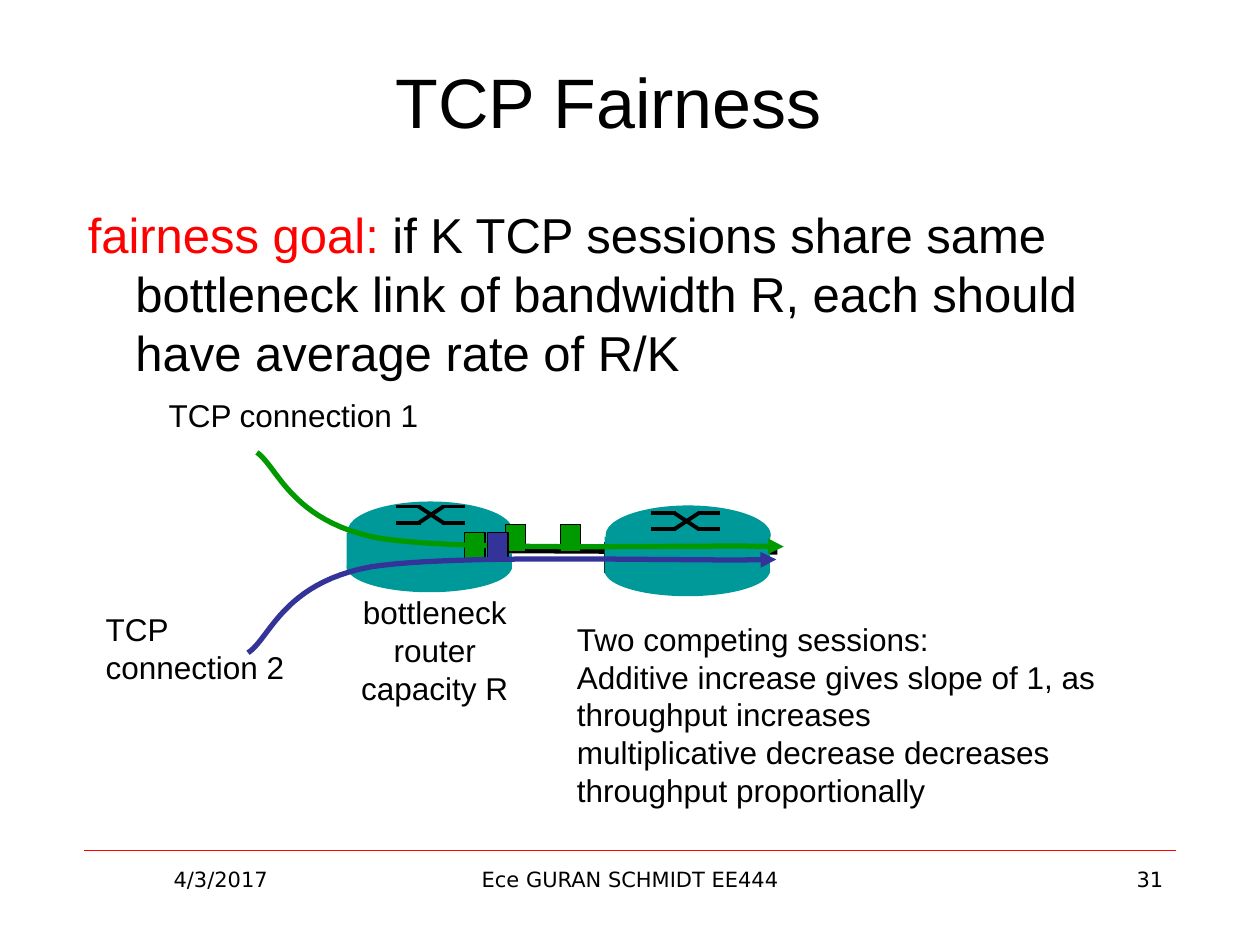
from lxml import etree
from pptx import Presentation
from pptx import util as u
from pptx.dml.color import RGBColor
from pptx.enum import shapes, text
from pptx.oxml import ns

BLACK = RGBColor(0x00, 0x00, 0x00)
RED = RGBColor(0xFF, 0x00, 0x00)
TEAL = RGBColor(0x00, 0x99, 0x99)
GREEN = RGBColor(0x00, 0x99, 0x00)
INDIGO = RGBColor(0x33, 0x33, 0x99)

TITLE = {"name": "Arial", "size": u.Pt(40)}
BODY = {"name": "Arial", "size": u.Pt(28)}
LABEL = {"name": "Arial", "size": u.Pt(18)}
FOOTER = {"name": "DejaVu Sans", "size": u.Pt(12)}

LEFT, CENTER, RIGHT = text.PP_ALIGN.LEFT, text.PP_ALIGN.CENTER, text.PP_ALIGN.RIGHT
RECT, OVAL = shapes.MSO_SHAPE.RECTANGLE, shapes.MSO_SHAPE.OVAL


def bezier(points, steps=24):
    """Points along joined cubic curves; each curve starts where the last ended."""
    path = [points[0]]
    for i in range(0, len(points) - 1, 3):
        for n in range(1, steps + 1):
            t = n / steps
            weights = ((1 - t) ** 3, 3 * t * (1 - t) ** 2, 3 * t * t * (1 - t), t ** 3)
            path.append(tuple(sum(w * p[axis] for w, p in zip(weights, points[i:i + 4]))
                              for axis in (0, 1)))
    return path


class FairnessSlide:
    def __init__(self, slide):
        self.items = slide.shapes

    def words(self, box, paragraphs, style, align=LEFT, wrap=True,
              anchor=text.MSO_ANCHOR.TOP, hanging=None):
        """Each paragraph is a list of (words, colour) runs."""
        frame = self.items.add_textbox(*map(u.Cm, box)).text_frame
        frame.word_wrap = wrap
        frame.vertical_anchor = anchor
        for i, runs in enumerate(paragraphs):
            paragraph = frame.add_paragraph() if i else frame.paragraphs[0]
            paragraph.alignment = align
            if hanging:
                props = paragraph._p.get_or_add_pPr()
                props.set("marL", str(u.Cm(hanging)))
                props.set("indent", str(-u.Cm(hanging)))
            for content, colour in runs:
                run = paragraph.add_run()
                run.text = content
                for key, value in style.items():
                    setattr(run.font, key, value)
                run.font.color.rgb = colour

    def lines(self, box, rows, style, **options):
        self.words(box, [[(row, BLACK)] for row in rows], style, **options)

    def line(self, x1, y1, x2, y2, colour=BLACK, width=2.25):
        link = self.items.add_connector(shapes.MSO_CONNECTOR.STRAIGHT,
                                        *map(u.Cm, (x1, y1, x2, y2)))
        link.line.color.rgb = colour
        link.line.width = u.Pt(width)
        etree.SubElement(link._element.spPr, ns.qn("a:effectLst"))

    def block(self, kind, x, y, w, h, fill, outlined=False):
        block = self.items.add_shape(kind, *map(u.Cm, (x, y, w, h)))
        block.shadow.inherit = False
        block.fill.solid()
        block.fill.fore_color.rgb = fill
        if outlined:
            block.line.color.rgb = BLACK
            block.line.width = u.Pt(0.75)
        else:
            block.line.fill.background()

    def packet(self, x, y, fill):
        self.block(RECT, x, y, 0.41, 0.56, fill, outlined=True)

    def router(self, x, y):
        self.block(OVAL, x, y + 0.81, 3.33, 1.02, TEAL)
        self.block(RECT, x, y + 0.63, 3.33, 0.74, TEAL)
        self.block(OVAL, x + 0.02, y, 3.33, 1.19, TEAL)

    def switch_mark(self, x, y):
        top, bottom = y, y + 0.33
        for start, end in ((top, bottom), (bottom, top)):
            self.line(x, start, x + 0.5, start)
            self.line(x + 0.46, start, x + 0.96, end)
            self.line(x + 0.94, end, x + 1.39, end)

    def flow(self, points, colour):
        path = [(u.Cm(x), u.Cm(y)) for x, y in bezier(points)]
        builder = self.items.build_freeform(*path[0])
        builder.add_line_segments(path[1:], close=False)
        curve = builder.convert_to_shape()
        curve.shadow.inherit = False
        curve.fill.background()
        curve.line.color.rgb = colour
        curve.line.width = u.Pt(3)
        etree.SubElement(curve.line._get_or_add_ln(), ns.qn("a:tailEnd"), type="triangle")


def main():
    deck = Presentation()
    deck.slide_width, deck.slide_height = u.Cm(25.4), u.Cm(19.05)
    page = FairnessSlide(deck.slides.add_slide(deck.slide_layouts[6]))

    # Footer
    page.line(1.7, 17.14, 23.7, 17.14, RED, 0.25)
    for x, width, note, align in ((1.7, 5.5, "4/3/2017", CENTER),
                                  (8.68, 8.05, "Ece GURAN SCHMIDT EE444", CENTER),
                                  (18.2, 5.5, "31", RIGHT)):
        page.lines((x, 17.35, width, 1.32), [note], FOOTER, align=align)

    # Title and goal
    page.lines((1.47, 0.43, 21.6, 3.18), ["TCP Fairness"], TITLE, align=CENTER,
               anchor=text.MSO_ANCHOR.MIDDLE)
    goal = [("fairness goal:", RED),
            (" if K TCP sessions share same bottleneck link of bandwidth R, "
             "each should have average rate of R/K", BLACK)]
    page.words((1.52, 4, 21.16, 6.1), [goal], BODY, hanging=0.96)

    # Bottleneck link and its two routers
    page.line(10.31, 11.1, 15.67, 11.13, width=3)
    page.router(6.99, 10.11)
    page.switch_mark(7.98, 10.21)
    page.line(12.19, 10.92, 12.19, 11.56, width=1)
    page.router(12.19, 10.19)
    page.switch_mark(13.13, 10.34)

    # Packets and flows
    for x, y in ((11.3, 10.57), (9.37, 10.74), (10.19, 10.57)):
        page.packet(x, y, GREEN)
    page.flow([(5.18, 9.12), (5.59, 9.4), (5.87, 10.52), (7.65, 10.85),
               (9.4, 11.13), (14.1, 10.97), (15.8, 11.02)], GREEN)
    page.packet(9.83, 10.74, INDIGO)
    page.flow([(5, 13.16), (5.44, 12.88), (5.69, 11.76), (7.47, 11.43),
               (9.25, 11.15), (13.94, 11.33), (15.65, 11.28)], INDIGO)

    # Labels and explanation
    page.lines((3.15, 7.85, 5.59, 1.02), ["TCP connection 1"], LABEL, wrap=False)
    page.lines((1.88, 12.17, 4.22, 1.78), ["TCP", "connection 2"], LABEL, wrap=False)
    page.lines((7.01, 11.84, 3.51, 2.57), ["bottleneck", "router", "capacity R"], LABEL,
               align=CENTER, wrap=False)
    page.lines((11.38, 12.37, 13.13, 4.06),
               ["Two competing sessions:",
                "Additive increase gives slope of 1, as throughput increases",
                "multiplicative decrease decreases throughput proportionally"], LABEL)

    deck.save("out.pptx")


if __name__ == "__main__":
    main()
